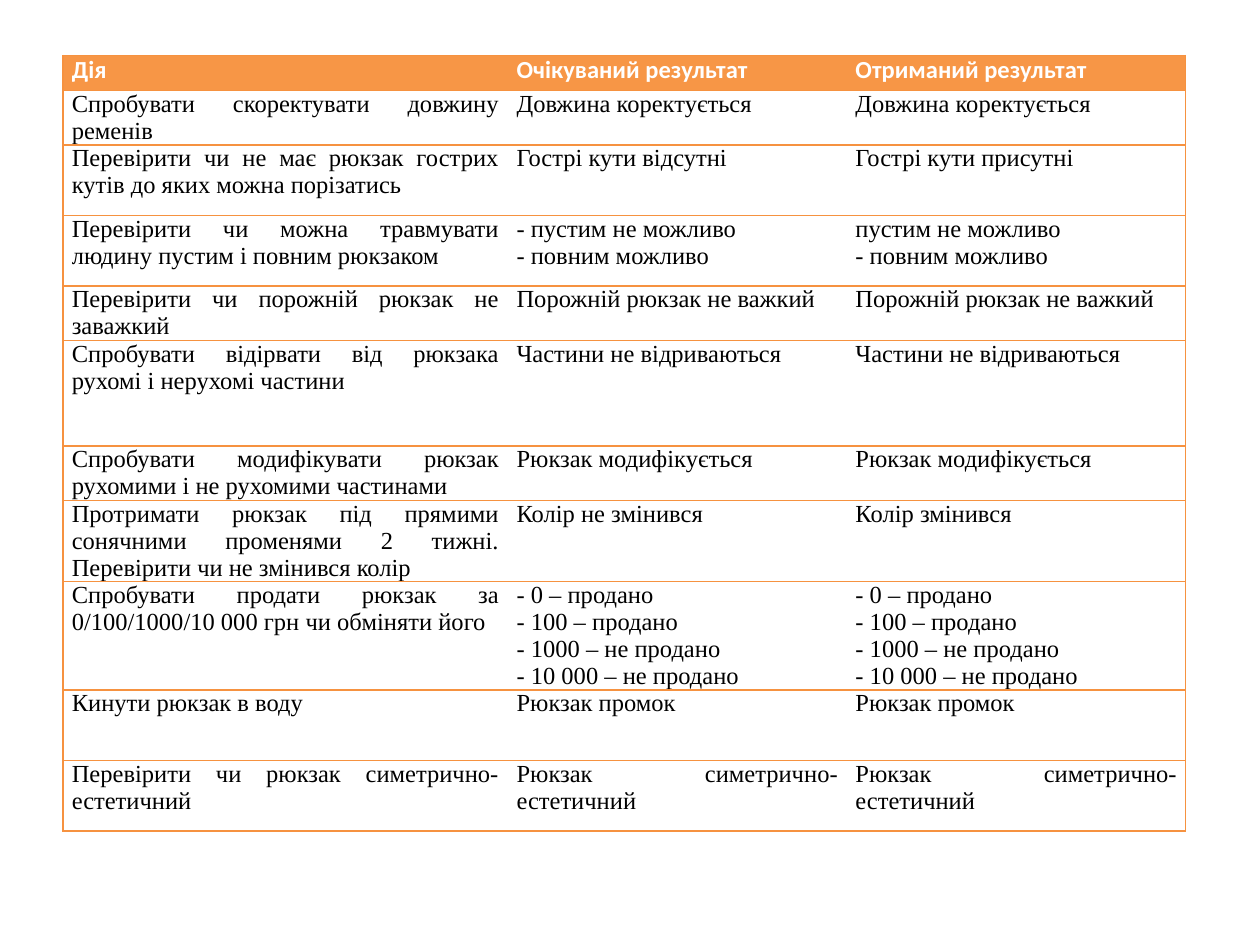
import pptx
import pptx.dml.color
import pptx.enum.text
import pptx.oxml
import pptx.util
from dataclasses import dataclass

NS = 'xmlns:a="http://schemas.openxmlformats.org/drawingml/2006/main"'

HEAD = ("Дія", "Очікуваний результат", "Отриманий результат")
SALES = "- 0 – продано\n- 100 – продано\n- 1000 – не продано\n- 10 000 – не продано"
# Each check: height in row units, action, expected result, actual result
CHECKS = [
    (1, "Спробувати скоректувати довжину ременів",
     "Довжина коректується", "Довжина коректується"),
    (2, "Перевірити чи не має рюкзак гострих кутів до яких можна порізатись",
     "Гострі кути відсутні", "Гострі кути присутні"),
    (2, "Перевірити чи можна травмувати людину пустим і повним рюкзаком",
     "- пустим не можливо\n- повним можливо",
     "пустим не можливо\n- повним можливо"),
    (1, "Перевірити чи порожній рюкзак не заважкий",
     "Порожній рюкзак не важкий", "Порожній рюкзак не важкий"),
    (3, "Спробувати відірвати від рюкзака рухомі і нерухомі частини",
     "Частини не відриваються", "Частини не відриваються"),
    (1, "Спробувати модифікувати рюкзак рухомими і не рухомими частинами",
     "Рюкзак модифікується", "Рюкзак модифікується"),
    (2, "Протримати рюкзак під прямими сонячними променями 2 тижні. "
     "Перевірити чи не змінився колір",
     "Колір не змінився", "Колір змінився"),
    (1, "Спробувати продати рюкзак за 0/100/1000/10 000 грн чи обміняти його",
     SALES, SALES),
    (2, "Кинути рюкзак в воду", "Рюкзак промок", "Рюкзак промок"),
    (2, "Перевірити чи рюкзак симетрично-естетичний",
     "Рюкзак симетрично-естетичний", "Рюкзак симетрично-естетичний"),
]


@dataclass
class Theme:
    fill: str = "F79646"
    line: str = "F69240"
    light: str = "FFFFFF"
    dark: str = "000000"
    head: str = "Calibri"
    body: str = "Times New Roman"
    size: float = 14
    rule: float = 0.75
    pad: float = 0.07
    unit: float = 0.28


class Deck:
    """Holds the theme and the current slide."""

    def __init__(self, theme, wide, high):
        self.theme = theme
        self.file = pptx.Presentation()
        self.file.slide_width = pptx.util.Inches(wide)
        self.file.slide_height = pptx.util.Inches(high)
        self.slide = self.file.slides.add_slide(self.file.slide_layouts[6])

    def table(self, left, top, cols, rows, units):
        """Left, top and cols are shares of the slide; units are row heights."""
        wide, high = self.file.slide_width, self.file.slide_height
        unit = pptx.util.Inches(self.theme.unit)
        frame = self.slide.shapes.add_table(
            len(rows), len(cols), int(left * wide), int(top * high),
            int(sum(cols) * wide), unit * sum(units))
        grid = frame.table
        grid.horz_banding = False
        for col, share in zip(grid.columns, cols):
            col.width = int(share * wide)
        for r, (texts, count) in enumerate(zip(rows, units)):
            grid.rows[r].height = unit * count
            for c, text in enumerate(texts):
                cell = grid.cell(r, c)
                self.edges(cell, c == 0, c == len(cols) - 1)
                self.cell(cell, text, r == 0)

    def edges(self, cell, first, last):
        """Rules above and below, and at the outer sides of the table only."""
        props = cell._tc.get_or_add_tcPr()
        width = pptx.util.Pt(self.theme.rule)
        ink = f'<a:solidFill><a:srgbClr val="{self.theme.line}"/></a:solidFill>'
        for side, shown in zip("LRTB", (first, last, True, True)):
            paint = ink if shown else "<a:noFill/>"
            props.append(pptx.oxml.parse_xml(
                f'<a:ln{side} {NS} w="{width}">{paint}</a:ln{side}>'))

    def cell(self, cell, text, head):
        theme = self.theme
        rgb = pptx.dml.color.RGBColor.from_string
        cell.margin_left = cell.margin_right = pptx.util.Inches(theme.pad)
        cell.margin_top = cell.margin_bottom = 0
        if head:
            cell.fill.solid()
            cell.fill.fore_color.rgb = rgb(theme.fill)
        else:
            cell.fill.background()
        cell.text = text
        for para in cell.text_frame.paragraphs:
            para.alignment = pptx.enum.text.PP_ALIGN.JUSTIFY
            font = para.font
            font.name = theme.head if head else theme.body
            font.size = pptx.util.Pt(theme.size)
            font.bold = head
            font.color.rgb = rgb(theme.light if head else theme.dark)


def main():
    deck = Deck(Theme(), 10, 7.5)
    units = [1] + [check[0] for check in CHECKS]
    rows = [HEAD] + [check[1:] for check in CHECKS]
    deck.table(0.05, 0.44 / 7.5, (0.353, 0.269, 0.269), rows, units)
    deck.file.save("out.pptx")


if __name__ == "__main__":
    main()
